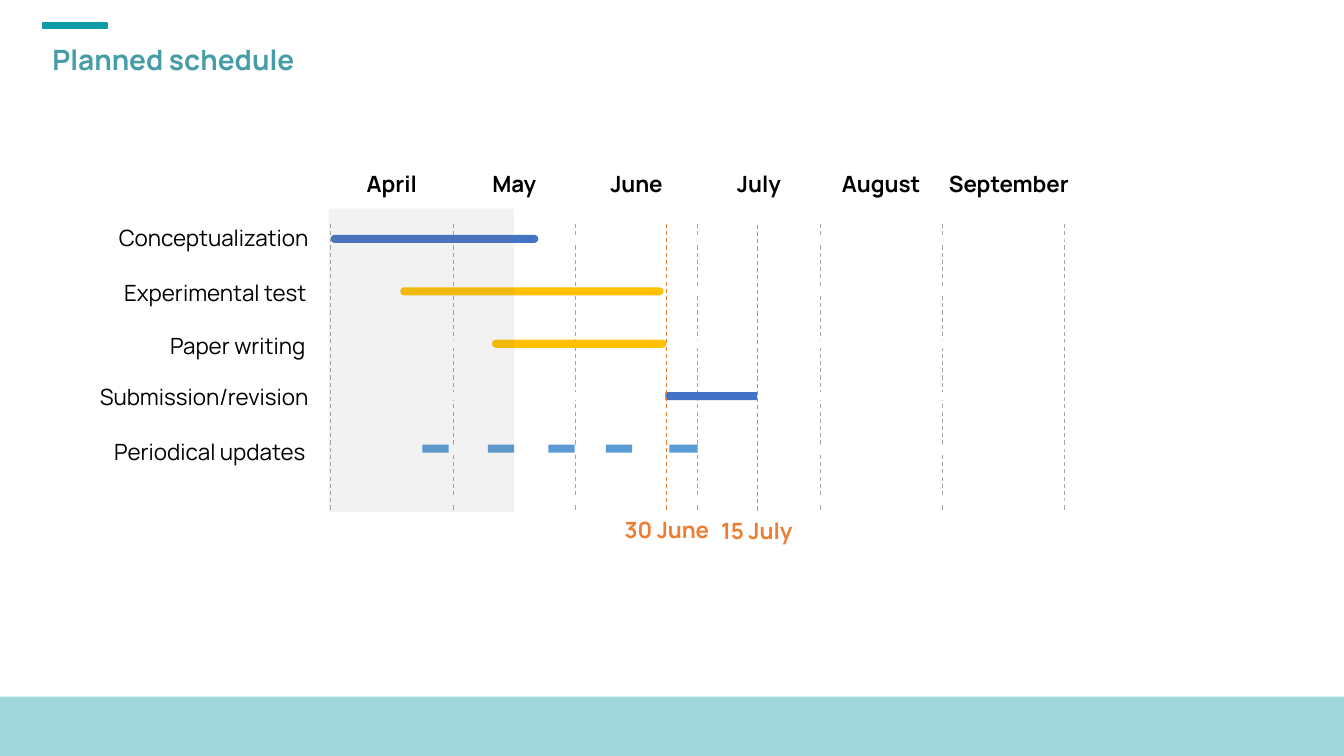
from lxml import etree
from pptx import Presentation
from pptx.dml.color import RGBColor
from pptx.enum.dml import MSO_LINE
from pptx.enum.shapes import MSO_CONNECTOR, MSO_SHAPE
from pptx.enum.text import MSO_ANCHOR, MSO_AUTO_SIZE, PP_ALIGN
from pptx.oxml.ns import qn
from pptx.util import Inches, Pt

RECTANGLE = MSO_SHAPE.RECTANGLE
ROUNDED = MSO_SHAPE.ROUNDED_RECTANGLE
STRAIGHT = MSO_CONNECTOR.STRAIGHT
DASH = MSO_LINE.DASH
NO_AUTOFIT = MSO_AUTO_SIZE.NONE
TOP, MIDDLE = MSO_ANCHOR.TOP, MSO_ANCHOR.MIDDLE
LEFT, CENTER, RIGHT = PP_ALIGN.LEFT, PP_ALIGN.CENTER, PP_ALIGN.RIGHT

TEAL, TITLE_TEAL = "0F9CA7", "469DA8"
BLUE, YELLOW, LIGHT_BLUE = "4472C4", "FFC000", "5B9BD5"
ORANGE, GRID_GRAY, SHADE_GRAY = "ED7D31", "A5A5A5", "808080"
BLACK, WHITE = "000000", "FFFFFF"

CHART_LEFT, CHART_WIDTH = 3.28, 7.28
GRID_TOP, GRID_BOTTOM = 2.22, 5.08
TRACK_TOP, TRACK_STEP, BAR_HEIGHT = 2.33, 0.52, 0.08

MONTHS = ["April", "May", "June", "July", "August", "September"]
MONTH_WIDTH = CHART_WIDTH / len(MONTHS)
TASKS = [
    ("Conceptualization", 2.22, 3.06, 1),
    ("Experimental test", 2.74, 3.04, 1.15),
    ("Paper writing", 3.27, 3.03, 1.15),
    ("Submission/revision", 3.79, 3.06, 1),
    ("Periodical updates", 4.32, 3.03, 1.15),
]
BARS = [
    (0, 3.28, 2.06, BLUE, ROUNDED),
    (1, 3.97, 2.61, YELLOW, ROUNDED),
    (2, 4.88, 1.73, YELLOW, ROUNDED),
    (3, 6.6, 0.91, BLUE, RECTANGLE),
    (4, 4.19, 0.26, LIGHT_BLUE, RECTANGLE),
    (4, 4.84, 0.26, LIGHT_BLUE, RECTANGLE),
    (4, 5.44, 0.26, LIGHT_BLUE, RECTANGLE),
    (4, 6.01, 0.26, LIGHT_BLUE, RECTANGLE),
    (4, 6.64, 0.28, LIGHT_BLUE, RECTANGLE),
]
DEADLINES = [("30 June", 6.61, 2.22, 6.01), ("15 July", 7.51, 2.23, 6.9)]


def color(value):
    return RGBColor.from_string(value)


def apply(target, values):
    for name, value in values.items():
        setattr(target, name, value)


class ScheduleSlide:
    font_name = "Manrope"
    no_insets = dict.fromkeys(
        ("margin_left", "margin_right", "margin_top", "margin_bottom"), 0
    )

    def __init__(self, presentation):
        self.slide = presentation.slides.add_slide(presentation.slide_layouts[5])

    def set_text(self, shape, text, frame_format, paragraph_format, font_format, ink):
        apply(shape.text_frame, frame_format)
        paragraph = shape.text_frame.paragraphs[0]
        apply(paragraph, paragraph_format)
        run = paragraph.add_run()
        run.text = text
        apply(run.font, {"name": self.font_name, **font_format})
        run.font.color.rgb = color(ink)

    def title(self, text, left, top, width, height):
        shape = self.slide.shapes.title
        apply(shape, {"left": Inches(left), "top": Inches(top),
                      "width": Inches(width), "height": Inches(height)})
        self.set_text(
            shape, text,
            {"vertical_anchor": MIDDLE, "word_wrap": True, "auto_size": NO_AUTOFIT},
            {"alignment": LEFT, "line_spacing": 0.9},
            {"size": Pt(20), "bold": True}, TITLE_TEAL,
        )

    def label(self, text, left, top, width, height, ink=BLACK, bold=False,
              anchor=TOP, **paragraph_format):
        shape = self.slide.shapes.add_textbox(
            Inches(left), Inches(top), Inches(width), Inches(height)
        )
        self.set_text(
            shape, text,
            {"word_wrap": True, "vertical_anchor": anchor, **self.no_insets},
            paragraph_format, {"size": Pt(16), "bold": bold}, ink,
        )

    def block(self, left, top, width, height, fill, kind=RECTANGLE, alpha=100):
        shape = self.slide.shapes.add_shape(
            kind, Inches(left), Inches(top), Inches(width), Inches(height)
        )
        shape.shadow.inherit = False
        shape.fill.solid()
        shape.fill.fore_color.rgb = color(fill)
        shape.line.fill.background()
        if kind == ROUNDED:
            shape.adjustments[0] = 0.5
        if alpha < 100:
            fill_color = shape._element.spPr.find(qn("a:solidFill"))[0]
            etree.SubElement(fill_color, qn("a:alpha"), val=str(alpha * 1000))
        return shape

    def marker_line(self, x, top, bottom, ink):
        connector = self.slide.shapes.add_connector(
            STRAIGHT, Inches(x), Inches(top), Inches(x), Inches(bottom)
        )
        apply(connector.line, {"width": Pt(0.75), "dash_style": DASH})
        connector.line.color.rgb = color(ink)
        etree.SubElement(connector._element.spPr, qn("a:effectLst"))


def main():
    presentation = Presentation()
    apply(presentation, {"slide_width": Inches(13.33), "slide_height": Inches(7.5)})
    schedule = ScheduleSlide(presentation)

    accent = schedule.block(0.42, 0.23, 0.64, 0.05, TEAL)
    accent.line.color.rgb = color(TEAL)
    accent.line.width = Pt(1)
    schedule.block(0, 6.91, 13.33, 0.59, TEAL, alpha=40)
    schedule.title("Planned schedule", 0.42, 0.4, 12.48, 0.41)

    for index in range(len(MONTHS) + 1):
        x = CHART_LEFT + index * MONTH_WIDTH
        schedule.marker_line(x, GRID_TOP, GRID_BOTTOM, GRID_GRAY)
    for index, month in enumerate(MONTHS):
        width = 1.32 if month == "September" else MONTH_WIDTH
        schedule.label(month, CHART_LEFT + index * MONTH_WIDTH, 1.69, width, 0.25,
                       bold=True, alignment=CENTER, space_after=Pt(16))
    for task, top, right, spacing in TASKS:
        schedule.label(task, right - 2.1, top, 2.1, 0.28, anchor=MIDDLE,
                       alignment=RIGHT, line_spacing=spacing)

    for row in range(len(TASKS) + 1):
        schedule.block(CHART_LEFT, TRACK_TOP + row * TRACK_STEP, CHART_WIDTH,
                       BAR_HEIGHT, WHITE, ROUNDED)
    for row, left, width, fill, kind in BARS:
        schedule.block(left, TRACK_TOP + row * TRACK_STEP, width, BAR_HEIGHT,
                       fill, kind)

    for date, x, top, label_left in DEADLINES:
        schedule.marker_line(x, top, top + 2.86, ORANGE)
        schedule.label(date, label_left, top + 2.9, 1.21, 0.89, ORANGE, True,
                       alignment=CENTER, space_after=Pt(16))
    schedule.block(3.26, 2.07, 1.84, 3.01, SHADE_GRAY, alpha=10)

    presentation.save("out.pptx")


if __name__ == "__main__":
    main()
